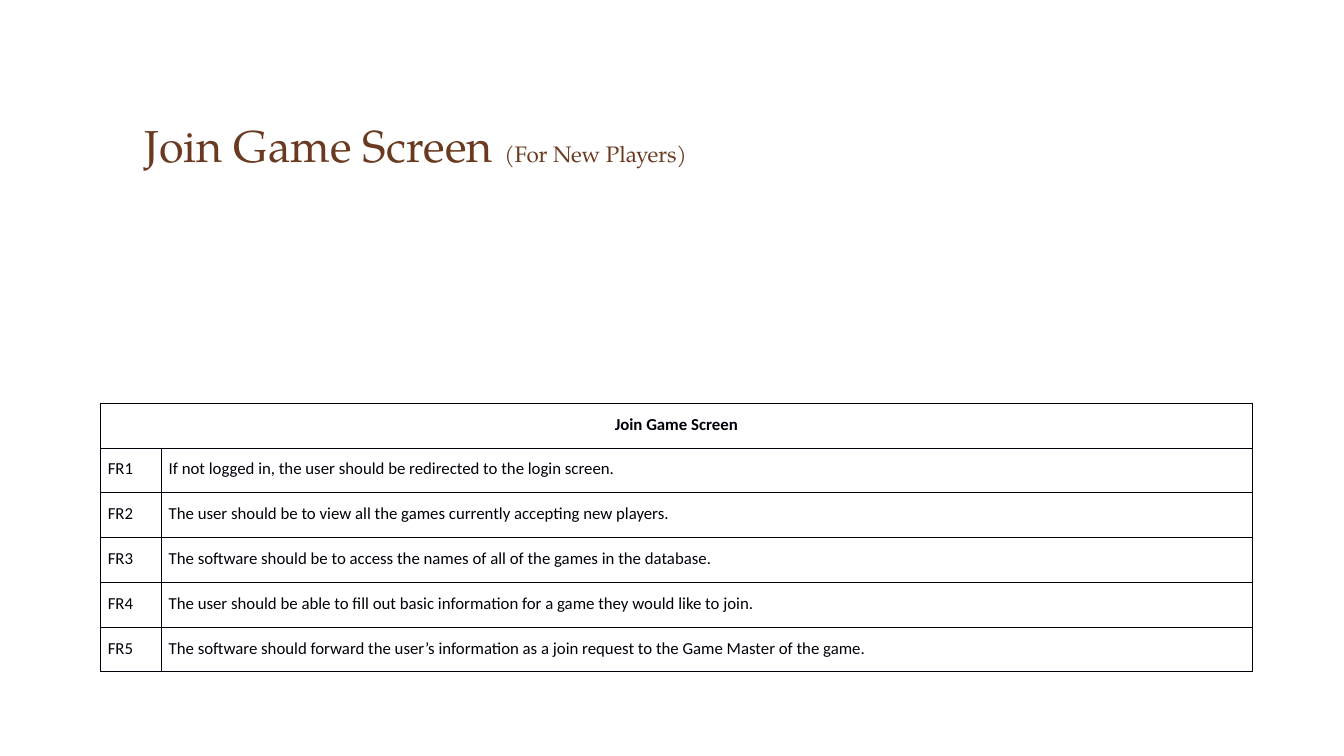
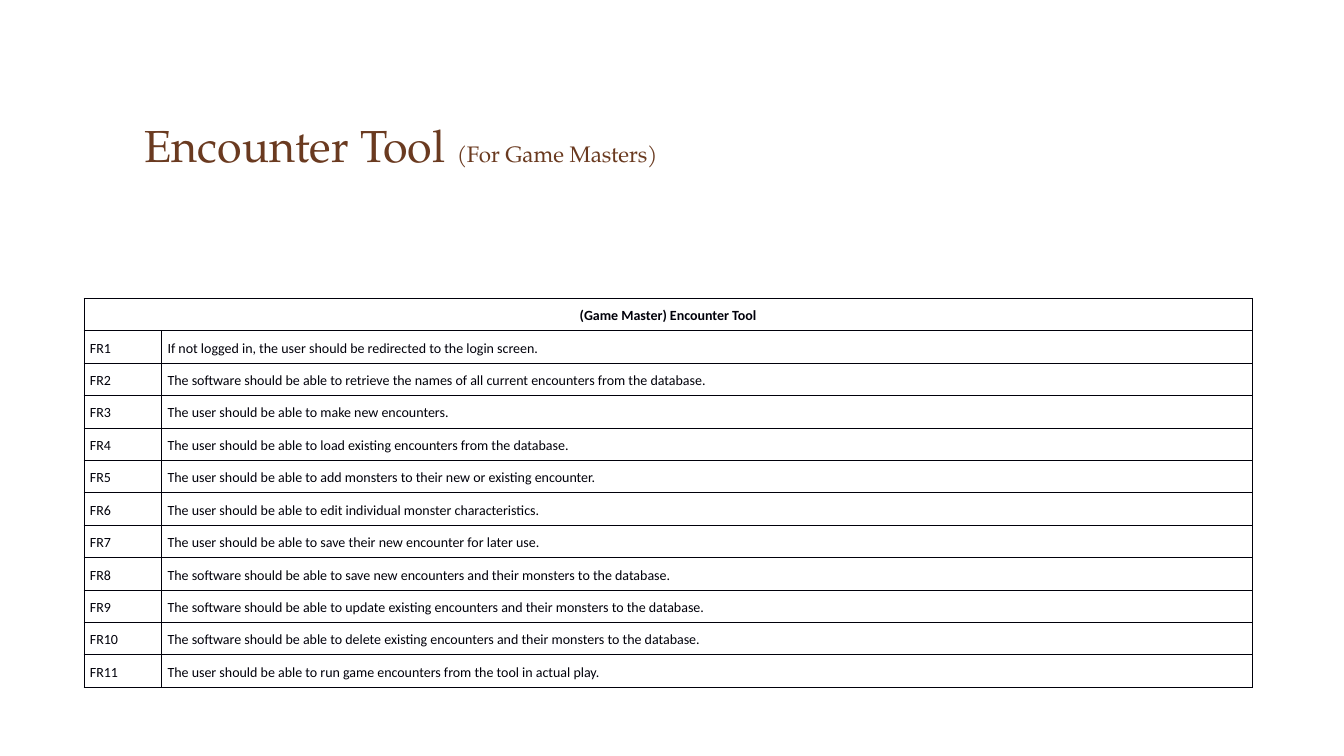
from collections import namedtuple

from lxml.etree import SubElement
from pptx import Presentation
from pptx.dml.color import RGBColor
from pptx.enum.text import MSO_ANCHOR, PP_ALIGN
from pptx.oxml.ns import qn
from pptx.util import Inches, Pt

Theme = namedtuple("Theme", "brown ink title_font body_font title_size note_size rule")
THEME = Theme(brown="6A3A20", ink="00000A", title_font="TeX Gyre Pagella",
              body_font="Calibri", title_size=32, note_size=16, rule=0.6)

Screen = namedtuple("Screen", "title note heading left top code_width row_height size inset requirements")
SCREENS = [
    Screen("Join Game Screen ", "(For New Players)", "Join Game Screen",
           left=12, top=48, code_width=7.25, row_height=5.33, size=12, inset=5,
           requirements=[
               "If not logged in, the user should be redirected to the login screen.",
               "The user should be to view all the games currently accepting new players.",
               "The software should be to access the names of all of the games in the database.",
               "The user should be able to fill out basic information for a game they would like to join.",
               "The software should forward the user’s information as a join request to the Game Master of the game.",
           ]),
    Screen("Encounter Tool ", "(For Game Masters)", "(Game Master) Encounter Tool",
           left=10, top=35.5, code_width=9.25, row_height=3.86, size=10, inset=4.2,
           requirements=[
               "If not logged in, the user should be redirected to the login screen.",
               "The software should be able to retrieve the names of all current encounters from the database.",
               "The user should be able to make new encounters.",
               "The user should be able to load existing encounters from the database.",
               "The user should be able to add monsters to their new or existing encounter.",
               "The user should be able to edit individual monster characteristics.",
               "The user should be able to save their new encounter for later use.",
               "The software should be able to save new encounters and their monsters to the database.",
               "The software should be able to update existing encounters and their monsters to the database.",
               "The software should be able to delete existing encounters and their monsters to the database.",
               "The user should be able to run game encounters from the tool in actual play.",
           ]),
]


def add_text(para, text, *, size, font, color, bold=False):
    span = para.add_run()
    span.text = text
    span.font.size = Pt(size)
    span.font.name = font
    span.font.bold = bold
    span.font.color.rgb = RGBColor.from_string(color)


def outline_cell(cell):
    """Rule all four sides of a cell and leave its inside empty."""
    properties = cell._tc.get_or_add_tcPr()
    for side in ("a:lnL", "a:lnR", "a:lnT", "a:lnB"):
        line = SubElement(properties, qn(side), w=str(Pt(THEME.rule)))
        fill = SubElement(line, qn("a:solidFill"))
        SubElement(fill, qn("a:srgbClr"), val=THEME.ink)
    cell.fill.background()


deck = Presentation()
deck.slide_width, deck.slide_height = Inches(13.33), Inches(7.5)
COLUMN = deck.slide_width / 160
ROW = deck.slide_height / 90
TEXT_WIDTH = 129.8  # columns

for screen in SCREENS:
    page = deck.slides.add_slide(deck.slide_layouts[6])

    box = page.shapes.add_textbox(int(16 * COLUMN), int(5.6 * ROW),
                                  int(128 * COLUMN), int(15.4 * ROW))
    frame = box.text_frame
    frame.word_wrap = True
    frame.vertical_anchor = MSO_ANCHOR.BOTTOM
    for text, size in ((screen.title, THEME.title_size), (screen.note, THEME.note_size)):
        add_text(frame.paragraphs[0], text, size=size, font=THEME.title_font, color=THEME.brown)

    rows = [(screen.heading, "")]
    rows += [(f"FR{number}", text) for number, text in enumerate(screen.requirements, 1)]
    widths = (screen.code_width, TEXT_WIDTH)
    table = page.shapes.add_table(
        len(rows), len(widths), int(screen.left * COLUMN), int(screen.top * ROW),
        int(sum(widths) * COLUMN), int(len(rows) * screen.row_height * ROW)).table
    for column, width in zip(table.columns, widths):
        column.width = int(width * COLUMN)
    table.cell(0, 0).merge(table.cell(0, 1))

    for row_index, texts in enumerate(rows):
        table.rows[row_index].height = int(screen.row_height * ROW)
        is_heading = row_index == 0
        for column_index, text in enumerate(texts):
            cell = table.cell(row_index, column_index)
            outline_cell(cell)
            cell.margin_left = cell.margin_right = Pt(screen.inset)
            cell.margin_top = cell.margin_bottom = Pt(screen.inset)
            if not text:
                continue
            para = cell.text_frame.paragraphs[0]
            para.alignment = PP_ALIGN.CENTER if is_heading else PP_ALIGN.LEFT
            para.line_spacing = 1.2
            para.space_after = Pt(7.2)
            add_text(para, text, size=screen.size, font=THEME.body_font,
                     color=THEME.ink, bold=is_heading)

deck.save("out.pptx")
